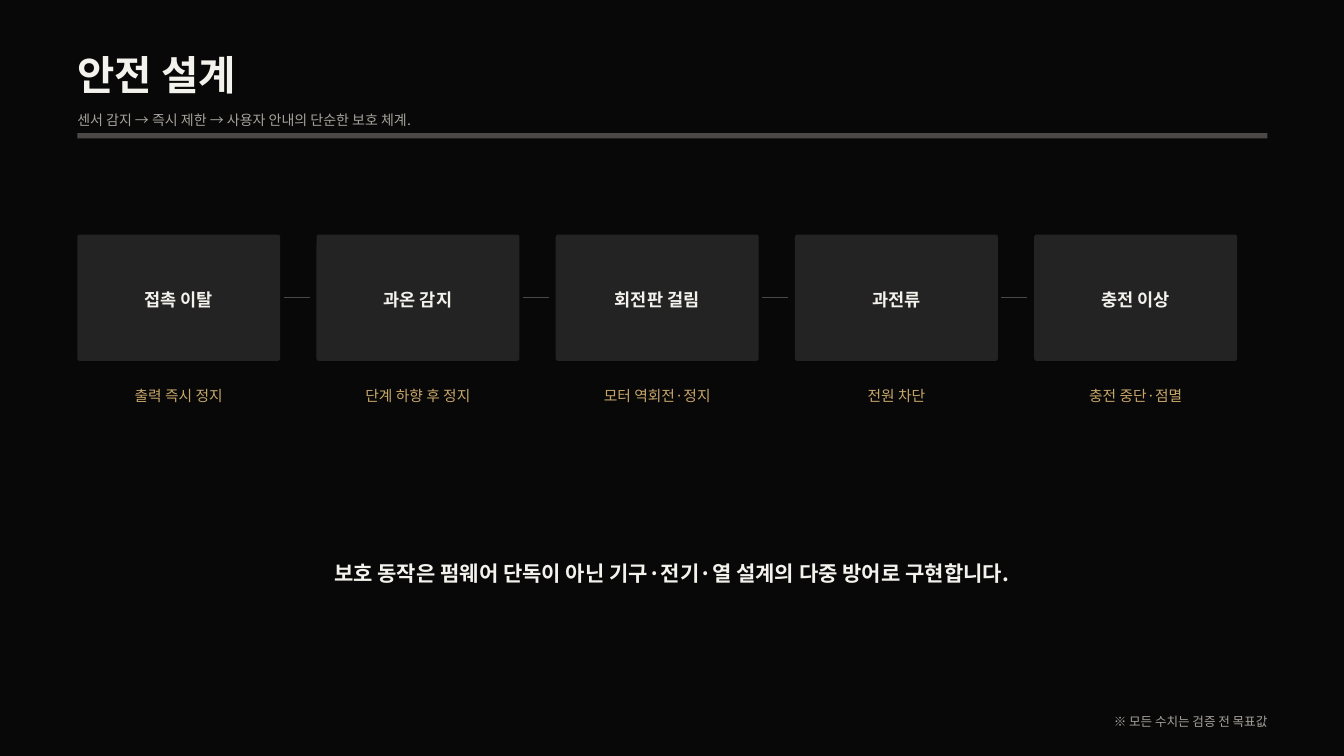
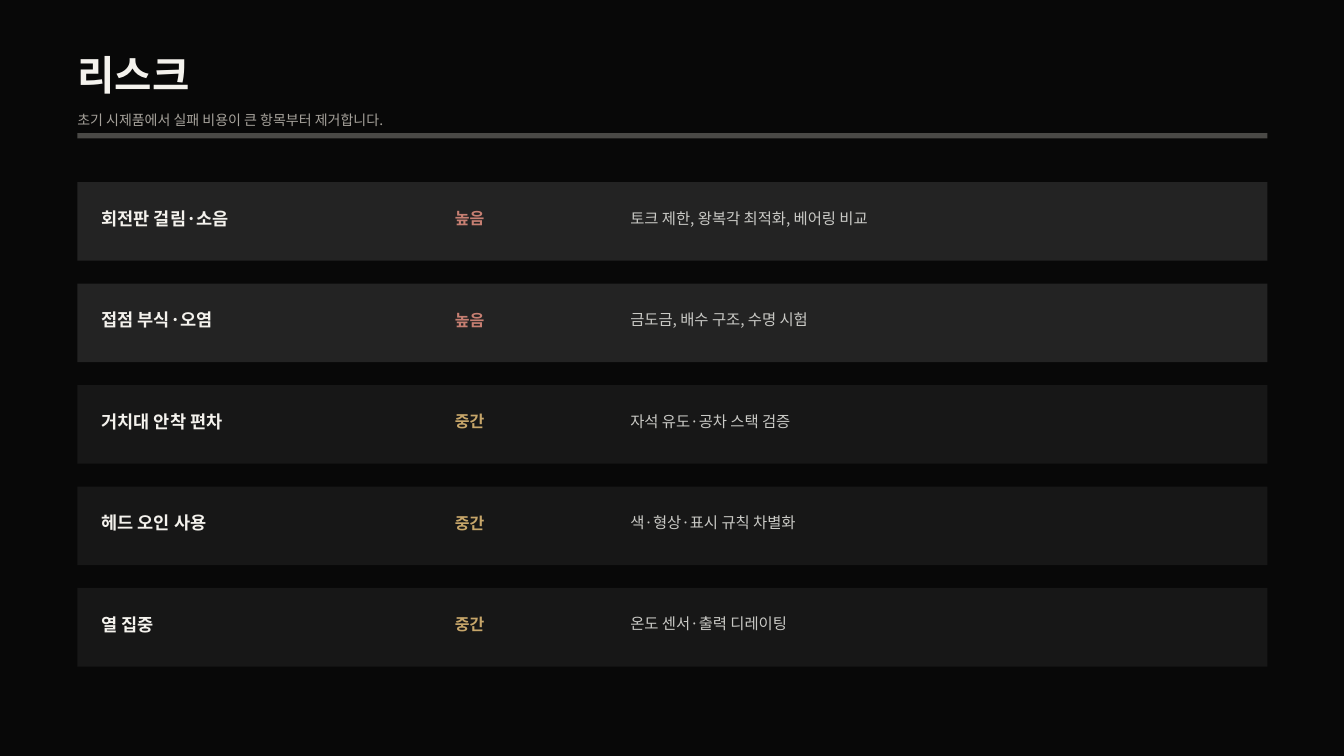
"""Build the safety design and risk slides."""
import lxml.etree
import pptx
import pptx.dml.color
import pptx.enum.shapes
import pptx.enum.text
import pptx.oxml.ns
import pptx.util

Inches = pptx.util.Inches
Pt = pptx.util.Pt
Align = pptx.enum.text.PP_ALIGN
Anchor = pptx.enum.text.MSO_ANCHOR
AutoSize = pptx.enum.text.MSO_AUTO_SIZE
Shape = pptx.enum.shapes.MSO_SHAPE
qn = pptx.oxml.ns.qn

FONT = "Noto Sans CJK KR"
BACKGROUND = "080808"
WHITE = "F4F2ED"
GREY = "A6A29B"
LIGHT = "C9C9C5"
RULE = "4A4946"
PANEL = "232323"
DARK_PANEL = "171717"
GOLD = "C7A66A"
RED = "C77F72"
LEFT = 1.15
WIDTH = 17.71


def color(value):
    return pptx.dml.color.RGBColor.from_string(value)


def write(shape, text, size, spacing, text_color, bold=False, align=Align.LEFT, anchor=Anchor.TOP, inset=0):
    frame = shape.text_frame
    frame.word_wrap = True
    frame.auto_size = AutoSize.NONE if inset else AutoSize.SHAPE_TO_FIT_TEXT
    frame.vertical_anchor = anchor
    frame.margin_left = frame.margin_right = Inches(inset)
    frame.margin_top = frame.margin_bottom = Inches(inset)
    paragraph = frame.paragraphs[0]
    paragraph.alignment = align
    paragraph.line_spacing = Pt(spacing)
    run = paragraph.add_run()
    run.text = text
    run.font.name = FONT
    run.font.size = Pt(size)
    run.font.bold = bold
    run.font.color.rgb = color(text_color)
    lxml.etree.SubElement(run._r.get_or_add_rPr(), qn("a:ea"), typeface=FONT)


presentation = pptx.Presentation()
presentation.slide_width = Inches(20)
presentation.slide_height = Inches(11.25)
master_fill = presentation.slide_master.background.fill
master_fill.solid()
master_fill.fore_color.rgb = color(BACKGROUND)

headings = [
    ("안전 설계", "센서 감지 → 즉시 제한 → 사용자 안내의 단순한 보호 체계."),
    ("리스크", "초기 시제품에서 실패 비용이 큰 항목부터 제거합니다."),
]
for heading, subtitle in headings:
    slide = presentation.slides.add_slide(presentation.slide_layouts[5])
    title = slide.shapes.title
    title.left, title.top = Inches(LEFT), Inches(0.79)
    title.width, title.height = Inches(14.06), Inches(0.67)
    write(title, heading, 43.5, 48.7, WHITE, bold=True)
    box = slide.shapes.add_textbox(Inches(LEFT), Inches(1.63), Inches(14.58), Inches(0.27))
    write(box, subtitle, 15, 20.2, GREY)
    rule = slide.shapes.add_shape(Shape.RECTANGLE, Inches(LEFT), Inches(1.98), Inches(WIDTH), Inches(0.08))
    rule.shadow.inherit = False
    rule.fill.solid()
    rule.fill.fore_color.rgb = color(RULE)
    rule.line.fill.background()

safety_slide, risk_slide = presentation.slides

protections = [
    ("접촉 이탈", "출력 즉시 정지"),
    ("과온 감지", "단계 하향 후 정지"),
    ("회전판 걸림", "모터 역회전·정지"),
    ("과전류", "전원 차단"),
    ("충전 이상", "충전 중단·점멸"),
]
card_width = 3.02
card_pitch = 3.56
for index, (event, response) in enumerate(protections):
    left = LEFT + index * card_pitch
    card = safety_slide.shapes.add_shape(
        Shape.ROUNDED_RECTANGLE, Inches(left), Inches(3.49), Inches(card_width), Inches(1.88))
    card.adjustments[0] = 0.02
    card.shadow.inherit = False
    card.fill.solid()
    card.fill.fore_color.rgb = color(PANEL)
    card.line.fill.background()
    write(card, event, 18.8, 26.2, WHITE, bold=True, align=Align.CENTER, anchor=Anchor.MIDDLE, inset=0.06)
    box = safety_slide.shapes.add_textbox(Inches(left), Inches(5.71), Inches(card_width), Inches(0.28))
    write(box, response, 15.8, 22, GOLD, align=Align.CENTER)
    if index < len(protections) - 1:
        start = left + card_width + 0.05
        connector = safety_slide.shapes.add_connector(
            pptx.enum.shapes.MSO_CONNECTOR.STRAIGHT,
            Inches(start), Inches(4.43), Inches(start + 0.39), Inches(4.43))
        connector.line.color.rgb = color(RULE)
        connector.line.width = Pt(1.5)
        lxml.etree.SubElement(connector._element.spPr, qn("a:effectLst"))

box = safety_slide.shapes.add_textbox(Inches(3.12), Inches(8.32), Inches(13.75), Inches(0.38))
write(box, "보호 동작은 펌웨어 단독이 아닌 기구·전기·열 설계의 다중 방어로 구현합니다.",
      22.5, 28.1, WHITE, bold=True, align=Align.CENTER)
box = safety_slide.shapes.add_textbox(Inches(14.48), Inches(10.59), Inches(4.38), Inches(0.25))
write(box, "※ 모든 수치는 검증 전 목표값", 13.5, 18.9, GREY, align=Align.RIGHT)

level_styles = {"높음": (PANEL, RED), "중간": (DARK_PANEL, GOLD)}
risks = [
    ("회전판 걸림·소음", "높음", "토크 제한, 왕복각 최적화, 베어링 비교"),
    ("접점 부식·오염", "높음", "금도금, 배수 구조, 수명 시험"),
    ("거치대 안착 편차", "중간", "자석 유도·공차 스택 검증"),
    ("헤드 오인 사용", "중간", "색·형상·표시 규칙 차별화"),
    ("열 집중", "중간", "온도 센서·출력 디레이팅"),
]
for index, (risk, level, action) in enumerate(risks):
    top = 2.71 + index * 1.51
    band_color, level_color = level_styles[level]
    band = risk_slide.shapes.add_shape(
        Shape.RECTANGLE, Inches(LEFT), Inches(top), Inches(WIDTH), Inches(1.17))
    band.shadow.inherit = False
    band.fill.solid()
    band.fill.fore_color.rgb = color(band_color)
    band.line.fill.background()
    cells = [
        (risk, 1.51, 0.33, 4.38, 0.34, 18.8, 26.2, WHITE, True),
        (level, 6.77, 0.35, 1.67, 0.32, 17.2, 24.1, level_color, True),
        (action, 9.38, 0.35, 8.54, 0.3, 16.5, 23.1, LIGHT, False),
    ]
    for text, left, offset, width, height, size, spacing, text_color, bold in cells:
        box = risk_slide.shapes.add_textbox(
            Inches(left), Inches(top + offset), Inches(width), Inches(height))
        write(box, text, size, spacing, text_color, bold=bold)

presentation.save("out.pptx")
